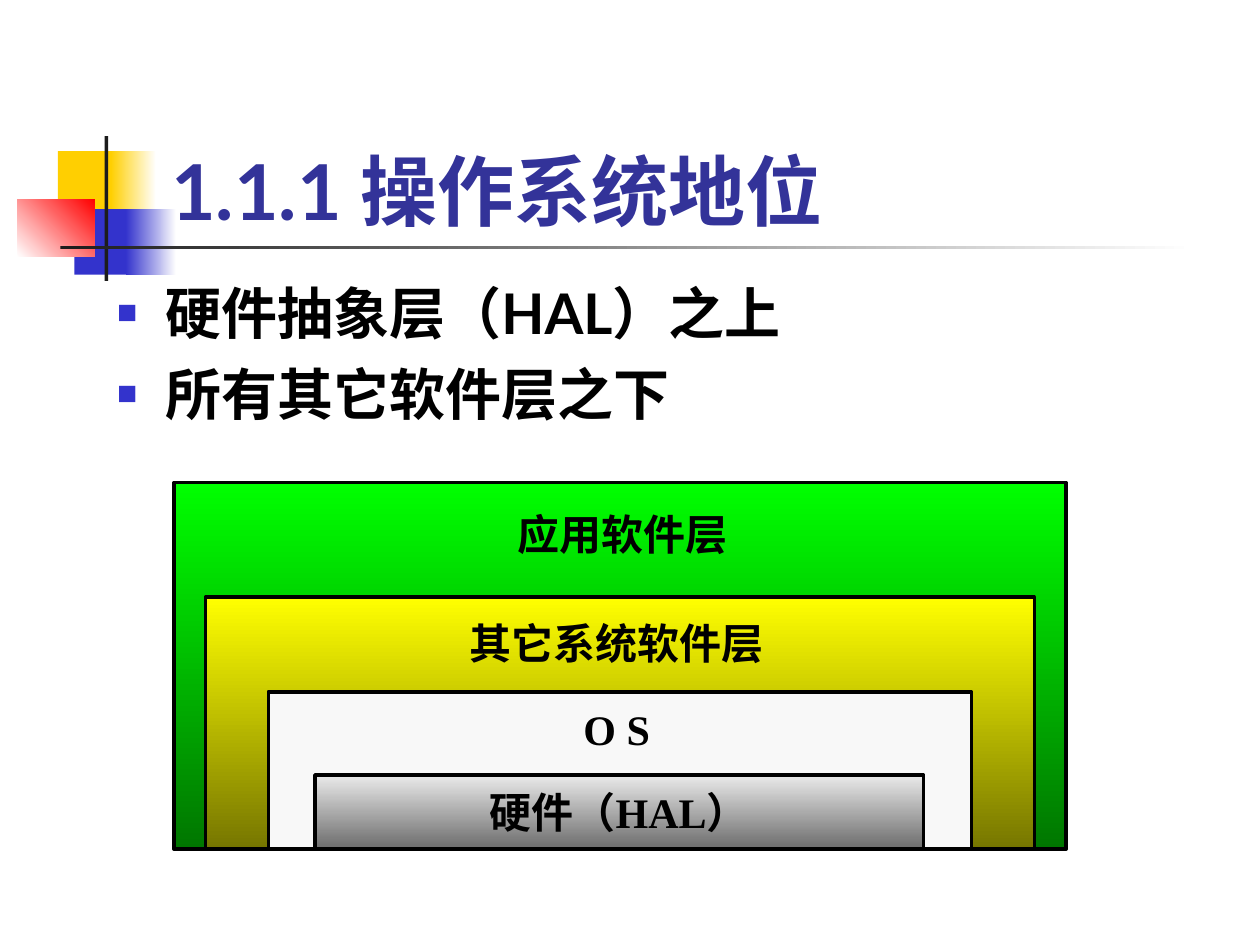
from dataclasses import dataclass

from lxml import etree
from pptx import Presentation
from pptx.dml.color import RGBColor
from pptx.enum.shapes import MSO_SHAPE
from pptx.enum.text import MSO_ANCHOR, MSO_AUTO_SIZE, PP_ALIGN
from pptx.oxml.ns import qn
from pptx.util import Inches, Pt

RECTANGLE = MSO_SHAPE.RECTANGLE
LEFT, CENTER = PP_ALIGN.LEFT, PP_ALIGN.CENTER
TOP, MIDDLE, BOTTOM = MSO_ANCHOR.TOP, MSO_ANCHOR.MIDDLE, MSO_ANCHOR.BOTTOM
NO_FIT, GROW = MSO_AUTO_SIZE.NONE, MSO_AUTO_SIZE.SHAPE_TO_FIT_TEXT
RIGHTWARD, DOWNWARD, UP_RIGHT = 0, 270, 45
BLACK, BULLET_BLUE, TITLE_BLUE = "000000", "3333CC", "333399"
HEADING_FONT, DIAGRAM_FONT = "Lato", "Times New Roman"
LAYERS_BOTTOM = 6.74


@dataclass(frozen=True)
class Block:
    left: float
    top: float
    width: float
    height: float
    colors: tuple[str, ...]
    angle: int = RIGHTWARD
    outline: str | None = None


@dataclass(frozen=True)
class Layer:
    left: float
    top: float
    width: float
    colors: tuple[str, ...]


@dataclass(frozen=True)
class Label:
    text: str
    left: float
    top: float
    width: float
    height: float
    wrap: bool = False
    inset: tuple[float, float] = (0.1, 0.05)


DECORATION = [
    Block(0.46, 1.2, 0.48, 0.52, ("FFCF01",)),
    Block(0.88, 1.2, 0.36, 0.52, ("FFCF01", "FFFFFF")),
    Block(0.59, 1.66, 0.46, 0.52, ("3333CC",)),
    Block(1, 1.66, 0.4, 0.52, ("3333CC", "FFFFFF")),
    Block(0.14, 1.58, 0.61, 0.46, ("FFFFFF", "FF0000"), UP_RIGHT),
    Block(0.83, 1.08, 0.03, 1.15, ("1C1C1C",)),
    Block(0.48, 1.95, 9, 0.03, ("1C1C1C", "FFFFFF")),
]
LAYERS = [
    Layer(1.38, 3.83, 7.08, ("00FF00", "007600")),
    Layer(1.63, 4.74, 6.58, ("FFFF00", "767600")),
    Layer(2.13, 5.49, 5.58, ("F8F8F8",)),
    Layer(2.5, 6.15, 4.83, ("EAEAEA", "6C6C6C")),
]
LABELS = [
    Label("O S", 4.63, 5.58, 0.65, 0.4, wrap=True, inset=(0, 0)),
    Label("其它系统软件层", 3.63, 4.85, 2.57, 0.5),
    Label("应用软件层", 4.01, 3.99, 1.9, 0.5),
]
POINTS = ["硬件抽象层（HAL）之上", "所有其它软件层之下"]


def rgb(color: str) -> RGBColor:
    return RGBColor.from_string(color)


def place(shape, left: float, top: float, width: float, height: float) -> None:
    shape.left, shape.top = Inches(left), Inches(top)
    shape.width, shape.height = Inches(width), Inches(height)


def add_block(page, block: Block):
    shape = page.shapes.add_shape(
        RECTANGLE, Inches(block.left), Inches(block.top),
        Inches(block.width), Inches(block.height))
    shape.shadow.inherit = False
    if len(block.colors) == 1:
        shape.fill.solid()
        shape.fill.fore_color.rgb = rgb(block.colors[0])
    else:
        shape.fill.gradient()
        shape.fill.gradient_angle = block.angle
        for stop, color in zip(shape.fill.gradient_stops, block.colors):
            stop.color.rgb = rgb(color)
    if block.outline:
        shape.line.color.rgb = rgb(block.outline)
        shape.line.width = Pt(2)
    else:
        shape.line.fill.background()
    return shape


def add_bullet(para, color: str, percent: int, indent: float) -> None:
    properties = para._p.get_or_add_pPr()
    properties.set("marL", str(Inches(indent)))
    properties.set("indent", str(-Inches(indent)))
    bullet_color = etree.SubElement(properties, qn("a:buClr"))
    etree.SubElement(bullet_color, qn("a:srgbClr"), val=color)
    etree.SubElement(properties, qn("a:buSzPct"), val=str(percent * 1000))
    etree.SubElement(properties, qn("a:buChar"), char="■")


def write(para, text: str, *, size: float, font: str, color: str = BLACK,
          align=LEFT, space_before: float = 0) -> None:
    para.alignment = align
    para.space_before = Pt(space_before)
    span = para.add_run()
    span.text = text
    span.font.name = font
    span.font.size = Pt(size)
    span.font.bold = True
    span.font.color.rgb = rgb(color)


def set_frame(frame, *, anchor=TOP, wrap: bool = True, fit=NO_FIT,
              inset: tuple[float, float] = (0.1, 0.05)) -> None:
    frame.word_wrap = wrap
    frame.auto_size = fit
    frame.vertical_anchor = anchor
    frame.margin_left = frame.margin_right = Inches(inset[0])
    frame.margin_top = frame.margin_bottom = Inches(inset[1])


def add_label(page, label: Label) -> None:
    box = page.shapes.add_textbox(Inches(label.left), Inches(label.top),
                                  Inches(label.width), Inches(label.height))
    set_frame(box.text_frame, wrap=label.wrap, fit=GROW, inset=label.inset)
    write(box.text_frame.paragraphs[0], label.text, size=24, font=DIAGRAM_FONT)


def fill_title(title) -> None:
    place(title, 1.26, 0.67, 8.52, 1.25)
    set_frame(title.text_frame, anchor=BOTTOM)
    write(title.text_frame.paragraphs[0], "1.1.1 操作系统地位",
          size=44, font=HEADING_FONT, color=TITLE_BLUE)


def fill_body(body) -> None:
    place(body, 0.83, 2.16, 8.5, 4.5)
    frame = body.text_frame
    set_frame(frame)
    for index, point in enumerate(POINTS):
        para = frame.add_paragraph() if index else frame.paragraphs[0]
        add_bullet(para, BULLET_BLUE, 60, 0.38)
        write(para, point, size=32, font=HEADING_FONT,
              space_before=8 if index else 0)


def add_layers(page) -> None:
    for layer in LAYERS:
        shape = add_block(page, Block(
            layer.left, layer.top, layer.width, LAYERS_BOTTOM - layer.top,
            layer.colors, DOWNWARD, BLACK))
    hardware = shape.text_frame
    set_frame(hardware, anchor=MIDDLE, wrap=False)
    write(hardware.paragraphs[0], "硬件（HAL）", size=24,
          font=DIAGRAM_FONT, align=CENTER)


def main() -> None:
    deck = Presentation()
    deck.slide_width, deck.slide_height = Inches(10), Inches(7.5)
    page = deck.slides.add_slide(deck.slide_layouts[1])
    for block in DECORATION:
        add_block(page, block)
    fill_title(page.shapes.title)
    fill_body(page.placeholders[1])
    add_layers(page)
    for label in LABELS:
        add_label(page, label)
    deck.save("out.pptx")


if __name__ == "__main__":
    main()
